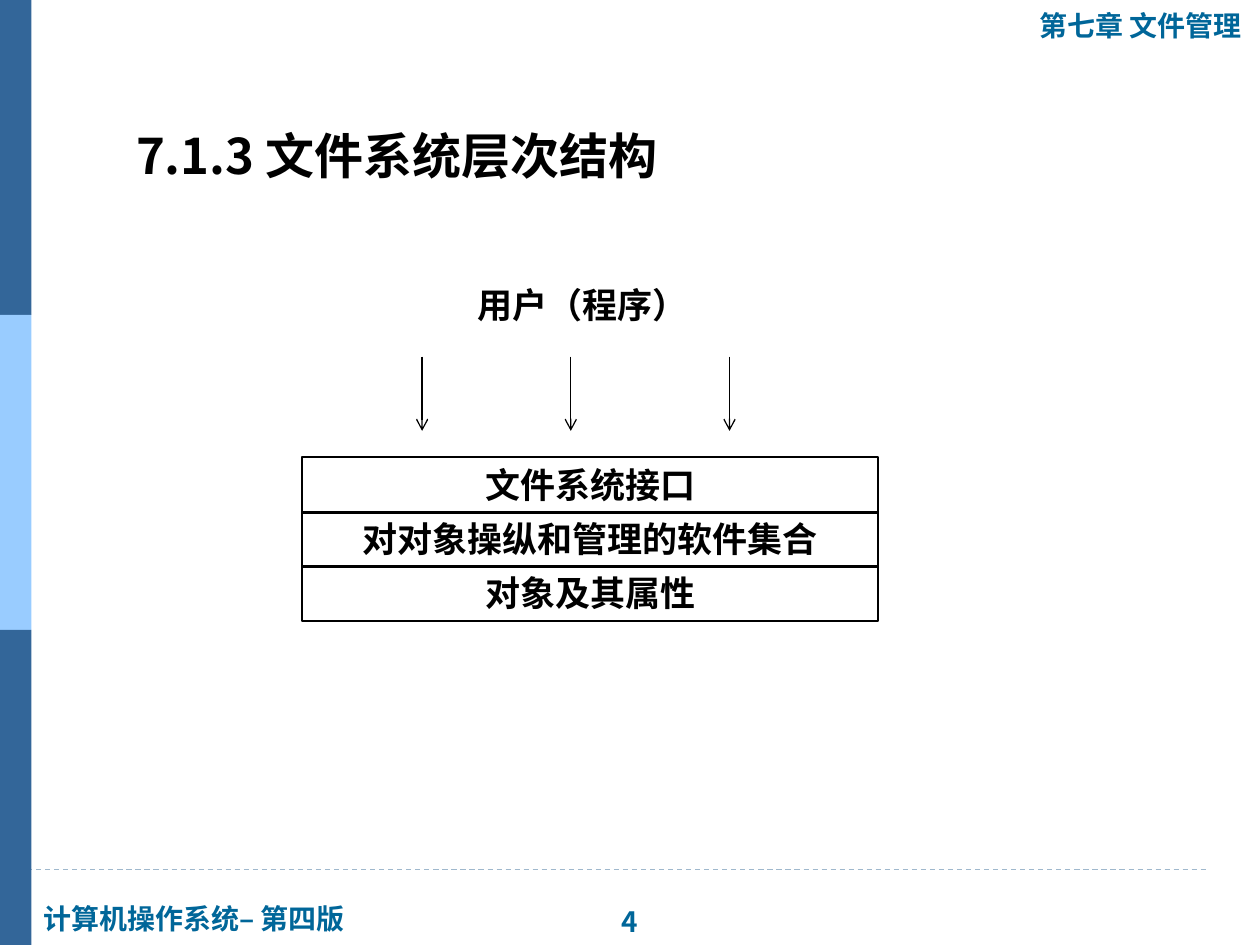
from lxml import etree
from pptx import Presentation
from pptx.dml.color import RGBColor
from pptx.enum.dml import MSO_LINE
from pptx.enum.shapes import MSO_CONNECTOR, MSO_SHAPE
from pptx.enum.text import MSO_ANCHOR, MSO_AUTO_SIZE, PP_ALIGN
from pptx.oxml.ns import qn
from pptx.util import Inches, Pt

RECTANGLE = MSO_SHAPE.RECTANGLE
STRAIGHT = MSO_CONNECTOR.STRAIGHT
DASH = MSO_LINE.DASH
LEFT, CENTER = PP_ALIGN.LEFT, PP_ALIGN.CENTER
TOP = MSO_ANCHOR.TOP
NO_FIT, GROW = MSO_AUTO_SIZE.NONE, MSO_AUTO_SIZE.SHAPE_TO_FIT_TEXT

COLUMNS, ROWS = 40, 30
CELL = 0.25

BLACK, TEAL = "000000", "006699"
DARK_BLUE, LIGHT_BLUE, RULE_BLUE = "336699", "99CCFF", "9FB8CD"
CHINESE_FONT = "Noto Sans CJK SC"


def grid(cells):
    return Inches(cells * CELL)


def color(hex_string):
    return RGBColor.from_string(hex_string)


class SlideBuilder:
    """Places styled elements on the slide, measured in grid columns and rows."""

    def __init__(self, presentation):
        layout = presentation.slide_layouts.get_by_name("Title and Content")
        self.slide = presentation.slides.add_slide(layout)
        title = self.slide.shapes.title
        title.element.getparent().remove(title.element)

    def style_paragraph(self, paragraph, size, hex_color, font_name, alignment):
        paragraph.alignment = alignment
        font = paragraph.font
        font.size, font.bold, font.name = Pt(size), True, font_name
        font.color.rgb = color(hex_color)
        for run in paragraph.runs:
            run_properties = run.font._element
            etree.SubElement(run_properties, qn("a:ea"), typeface=CHINESE_FONT)

    def heading(self, text, left, top, width, height):
        body = self.slide.placeholders[1]
        body.left, body.top = grid(left), grid(top)
        body.width, body.height = grid(width), grid(height)
        frame = body.text_frame
        frame.text = text
        frame.auto_size, frame.vertical_anchor = NO_FIT, TOP
        paragraph = frame.paragraphs[0]
        paragraph.line_spacing, paragraph.space_before = 1.4, Pt(0)
        properties = paragraph._p.get_or_add_pPr()
        properties.set("marL", str(Inches(0.47)))
        properties.set("indent", "0")
        etree.SubElement(properties, qn("a:buNone"))
        self.style_paragraph(paragraph, 28, BLACK, CHINESE_FONT, LEFT)

    def label(self, text, left, top, width, height, size=16, hex_color=TEAL,
              font_name="Roboto", alignment=LEFT):
        box = self.slide.shapes.add_textbox(
            grid(left), grid(top), grid(width), grid(height))
        frame = box.text_frame
        frame.text = text
        frame.word_wrap, frame.auto_size = False, GROW
        self.style_paragraph(
            frame.paragraphs[0], size, hex_color, font_name, alignment)

    def rectangle(self, left, top, width, height):
        shape = self.slide.shapes.add_shape(
            RECTANGLE, grid(left), grid(top), grid(width), grid(height))
        shape.shadow.inherit = False
        return shape

    def bar(self, left, top, width, height, fill):
        shape = self.rectangle(left, top, width, height)
        shape.fill.solid()
        shape.fill.fore_color.rgb = color(fill)
        shape.line.fill.background()

    def layer(self, text, left, top, width, height):
        shape = self.rectangle(left, top, width, height)
        shape.fill.background()
        shape.line.color.rgb = color(BLACK)
        shape.line.width = Pt(1)
        frame = shape.text_frame
        frame.text = text
        frame.word_wrap, frame.auto_size = True, GROW
        frame.vertical_anchor = TOP
        self.style_paragraph(frame.paragraphs[0], 20, BLACK, "Arial", CENTER)

    def line(self, start, end, hex_color):
        connector = self.slide.shapes.add_connector(
            STRAIGHT, *map(grid, start), *map(grid, end))
        connector.line.color.rgb = color(hex_color)
        connector.line.width = Pt(0.75)
        etree.SubElement(connector.element.spPr, qn("a:effectLst"))
        return connector.line

    def dashed_rule(self, start, end):
        self.line(start, end, RULE_BLUE).dash_style = DASH

    def arrow(self, start, end):
        line = self.line(start, end, BLACK)
        etree.SubElement(line._get_or_add_ln(), qn("a:tailEnd"), type="arrow")


def main():
    presentation = Presentation()
    presentation.slide_width = grid(COLUMNS)
    presentation.slide_height = grid(ROWS)
    builder = SlideBuilder(presentation)

    builder.dashed_rule((0, 27.6), (38.36, 27.6))
    bar_height = ROWS / 3
    for index, fill in enumerate((DARK_BLUE, LIGHT_BLUE, DARK_BLUE)):
        builder.bar(0, index * bar_height, 1, bar_height, fill)

    builder.label("计算机操作系统– 第四版", 1, 28.44, 10.6, 1.48)
    builder.label("4", 18.92, 28.52, 2.16, 1.48,
                  font_name="Noto Sans CJK JP", alignment=CENTER)
    builder.label("第七章 文件管理", 32.6, 0.08, 7.4, 1.48)

    builder.heading("7.1.3 文件系统层次结构", 2.04, 3.04, 35.92, 23.64)

    builder.label("用户（程序）", 14.76, 8.8, 7.52, 1.76,
                  size=20, hex_color=BLACK, font_name="Arial")
    for column in (13.4, 18.12, 23.16):
        builder.arrow((column, 11.32), (column, 13.68))
    layers = ("文件系统接口", "对对象操纵和管理的软件集合", "对象及其属性")
    for index, text in enumerate(layers):
        builder.layer(text, 9.6, 14.52 + index * 1.72, 18.28, 1.76)

    presentation.save("out.pptx")


if __name__ == "__main__":
    main()
